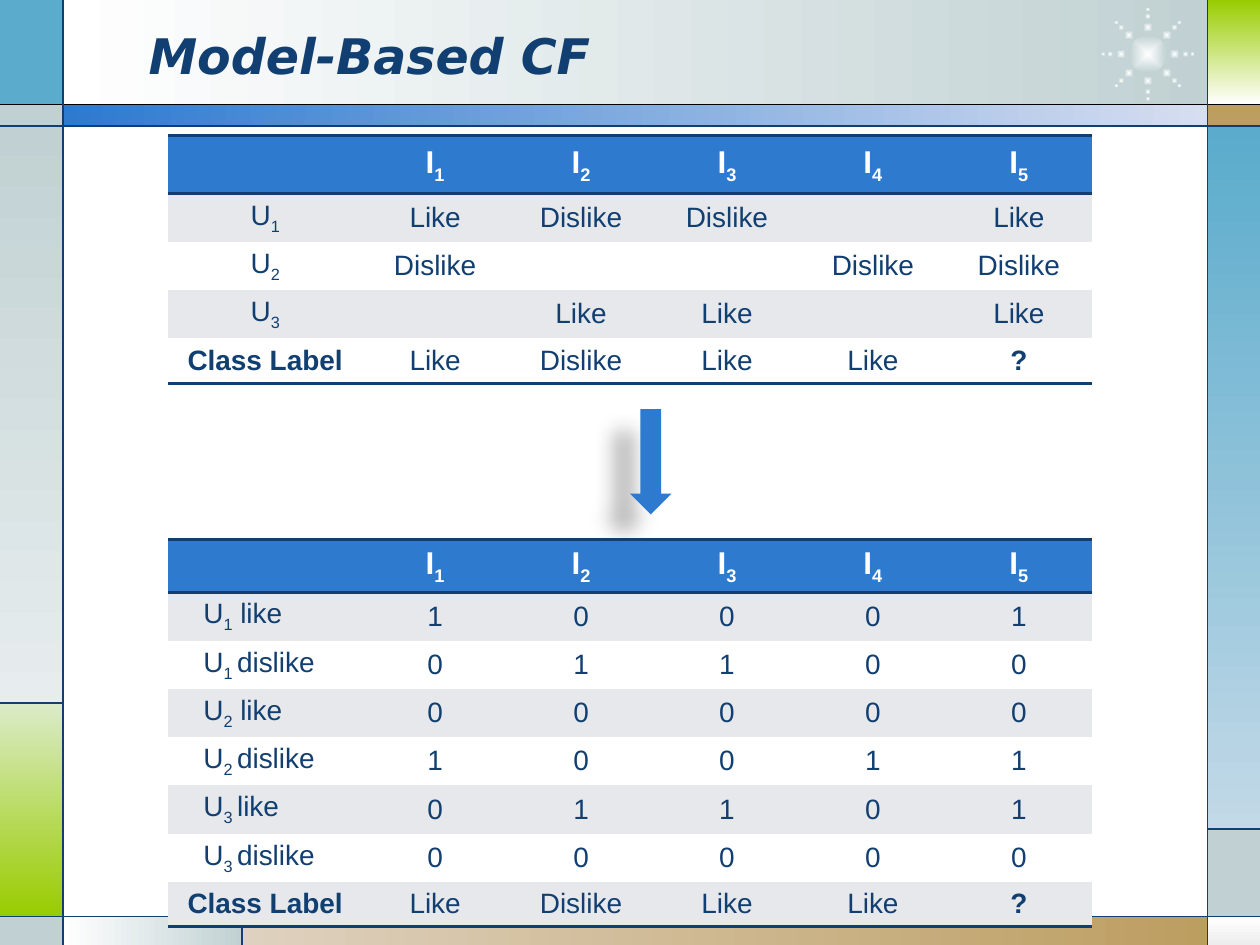
from math import cos, sin, radians
from lxml.etree import SubElement
from pptx import Presentation
from pptx.dml.color import RGBColor
from pptx.enum.shapes import MSO_CONNECTOR, MSO_SHAPE
from pptx.enum.text import MSO_ANCHOR, PP_ALIGN
from pptx.oxml import parse_xml
from pptx.oxml.ns import qn
from pptx.util import Cm, Pt

NS = 'xmlns:a="http://schemas.openxmlformats.org/drawingml/2006/main"'
NAVY, BLUE, MIST, TAN = "113F71", "2D7ACF", "C1D1D3", "BD9E61"
WHITE, GRAY, SKY, LIME = "FFFFFF", "E7E8EB", "5AABCC", "99CC00"
NO_GRID = "{2D5ABB26-0587-4C30-8999-92F81FD0307C}"
RIGHT, DOWN = 0, 270


def color(text):
    return RGBColor.from_string(text)


def style(item, **values):
    for name, value in values.items():
        setattr(item, name, value)


def paint(fill, first, last=None, angle=RIGHT):
    """Fill with one colour, or blend two along the angle."""
    if last is None:
        fill.solid()
        fill.fore_color.rgb = color(first)
        return
    fill.gradient()
    fill.gradient_angle = angle
    for stop, tone in zip(fill.gradient_stops, (first, last)):
        stop.color.rgb = color(tone)


def add_form(shapes, kind, box, *tones):
    form = shapes.add_shape(kind, *map(Cm, box))
    form.shadow.inherit = False
    form.line.fill.background()
    paint(form.fill, *tones)
    return form


def add_line(shapes, ends, tone=NAVY):
    line = shapes.add_connector(MSO_CONNECTOR.STRAIGHT, *map(Cm, ends))
    style(line.line, width=Pt(0.75))
    line.line.color.rgb = color(tone)
    SubElement(line.element.spPr, qn("a:effectLst"))


def add_frame(shapes, box):
    """Coloured tiles around the slide edge, with the rules between them."""
    x, y, w, h = box
    left, right = 1.27, 24.34
    top, bar, foot = 2.11, 2.54, 18.47
    green, pale, tan = 14.17, 16.71, 4.88
    tiles = [
        (left, 0, right, top, WHITE, MIST),
        (0, 0, left, top, SKY),
        (0, top, left, bar, MIST),
        (0, bar, left, green, MIST, "E7EDEE", DOWN),
        (0, green, left, foot, "DBEBC9", LIME, DOWN),
        (0, foot, left, h, MIST),
        (left, foot, tan, h, WHITE, MIST),
        (tan, foot, right, h, "DED1BF", TAN),
        (right, foot, w, h, WHITE, "EDEDED", DOWN),
        (right, pale, w, foot, MIST),
        (right, bar, w, pale, SKY, "C2D9E7", DOWN),
        (right, top, w, bar, TAN),
        (right, 0, w, top, LIME, WHITE, DOWN),
        (left, top, right, bar, BLUE, "D7DEF0"),
    ]
    for x1, y1, x2, y2, *tones in tiles:
        add_form(shapes, MSO_SHAPE.RECTANGLE, (x + x1, y + y1, x2 - x1, y2 - y1), *tones)
    add_burst(shapes, (x + 21.97, y, 2.34, 2.18))
    add_line(shapes, (x, y + top, x + w, y + top), "000000")
    for x1, y1, x2, y2 in [
        (0, bar, w, bar), (0, foot, w, foot), (left, 0, left, h), (right, 0, right, h),
        (0, green, left, green), (tan, foot, tan, h), (right, pale, w, pale),
    ]:
        add_line(shapes, (x + x1, y + y1, x + x2, y + y2))


def add_burst(shapes, box):
    """A glowing hub with eight rays of shrinking dots."""
    x, y, w, h = box
    group = shapes.add_group_shape()
    dots = [(0, 0, 0.76)]
    dots += [(turn, reach, size) for turn in range(0, 360, 45)
             for reach, size in ((0.54, 0.19), (0.76, 0.12), (0.9, 0.09))]
    for turn, reach, size in dots:
        left = x + w / 2 + reach * cos(radians(turn)) - size / 2
        top = y + h / 2 + reach * sin(radians(turn)) - size / 2
        dot = add_form(group.shapes, MSO_SHAPE.OVAL, (left, top, size, size), WHITE, MIST)
        lin = dot.element.spPr.find(qn("a:gradFill")).find(qn("a:lin"))
        lin.getparent().replace(lin, parse_xml(
            f'<a:path {NS} path="shape"><a:fillToRect l="50000" t="50000" '
            'r="50000" b="50000"/></a:path>'))


def add_title(slide, box, text):
    title = slide.shapes.title
    slide.shapes.element.append(title.element)
    style(title, **dict(zip(("left", "top", "width", "height"), map(Cm, box))))
    style(title.text_frame, text=text, vertical_anchor=MSO_ANCHOR.MIDDLE, word_wrap=True)
    line = title.text_frame.paragraphs[0]
    line.alignment = PP_ALIGN.LEFT
    font = line.runs[0].font
    style(font, name="DejaVu Sans", size=Pt(28), bold=True, italic=True)
    font.color.rgb = color(NAVY)


def add_arrow(shapes, box):
    arrow = add_form(shapes, MSO_SHAPE.DOWN_ARROW, box, BLUE)
    arrow.element.spPr.find(qn("a:effectLst")).append(parse_xml(
        f'<a:outerShdw {NS} blurRad="{Pt(11.8)}" dist="{Pt(19.7)}" dir="{141 * 60000}" '
        'algn="ctr" rotWithShape="0"><a:srgbClr val="000000"><a:alpha val="28000"/>'
        '</a:srgbClr></a:outerShdw>'))


def add_edge(cell, side):
    cell._tc.get_or_add_tcPr().insert(0, parse_xml(
        f'<a:{side} {NS} w="{Pt(2)}"><a:solidFill><a:srgbClr val="{NAVY}"/>'
        f'</a:solidFill></a:{side}>'))


def write(cell, text, size, tone, bold):
    """Write text in which underscores enclose a subscript."""
    line = cell.text_frame.paragraphs[0]
    line.alignment = PP_ALIGN.CENTER
    if not text:
        SubElement(line._p, qn("a:endParaRPr"), sz=str(size * 100))
    for spot, part in enumerate(text.split("_")):
        if part:
            run = line.add_run()
            run.text = part
            style(run.font, name="Arial", size=Pt(size), bold=bold)
            run.font.color.rgb = color(tone)
            if spot % 2:
                run._r.get_or_add_rPr().set("baseline", "-25000")


def add_grid(shapes, box, heights, rows, indent=False):
    """Ratings table: items across, users down, class label last."""
    rows = [["", *(f"I_{n}_" for n in range(1, 6))], *rows,
            ["Class Label", "Like", "Dislike", "Like", "Like", "?"]]
    head, body, last = heights
    table = shapes.add_table(len(rows), len(rows[0]), *map(Cm, box)).table
    table._tbl.tblPr.find(qn("a:tableStyleId")).text = NO_GRID
    first = 3.91
    for n, column in enumerate(table.columns):
        column.width = Cm((box[2] - first) / 5 if n else first)
    for r, row in enumerate(rows):
        top, end = r == 0, r == len(rows) - 1
        table.rows[r].height = Cm(head if top else last if end else body)
        for c, text in enumerate(row):
            cell = table.cell(r, c)
            cell.vertical_anchor = MSO_ANCHOR.MIDDLE
            paint(cell.fill, BLUE if top else GRAY if r % 2 else WHITE)
            write(cell, text, 18 if top else 16, WHITE if top else NAVY,
                  top or text in ("Class Label", "?"))
            if indent and c == 0 and not top and not end:
                cell.margin_left = Cm(0.71)
                cell.text_frame.paragraphs[0].alignment = PP_ALIGN.LEFT
            if top or end:
                add_edge(cell, "lnB")
            if top:
                add_edge(cell, "lnT")


def main():
    deck = Presentation()
    style(deck, slide_width=Cm(25.4), slide_height=Cm(19.05))
    slide = deck.slides.add_slide(deck.slide_layouts[5])
    shapes = slide.shapes
    add_frame(shapes, (0, 0, 25.4, 19.05))
    add_title(slide, (2.74, 0.33, 18.62, 1.57), "Model-Based CF")
    add_arrow(shapes, (12.7, 8.25, 0.84, 2.12))
    add_grid(shapes, (3.39, 2.74, 18.62, 4.99), (1.16, 0.97, 0.92), [
        ["U_1_", "Like", "Dislike", "Dislike", "", "Like"],
        ["U_2_", "Dislike", "", "", "Dislike", "Dislike"],
        ["U_3_", "", "Like", "Like", "", "Like"],
    ])
    add_grid(shapes, (3.39, 10.87, 18.62, 7.8), (1.07, 0.97, 0.89), [
        ["U_1_ like", *"10001"],
        ["U_1 _dislike", *"01100"],
        ["U_2_ like", *"00000"],
        ["U_2 _dislike", *"10011"],
        ["U_3 _like", *"01101"],
        ["U_3 _dislike", *"00000"],
    ], indent=True)
    deck.save("out.pptx")


if __name__ == "__main__":
    main()
